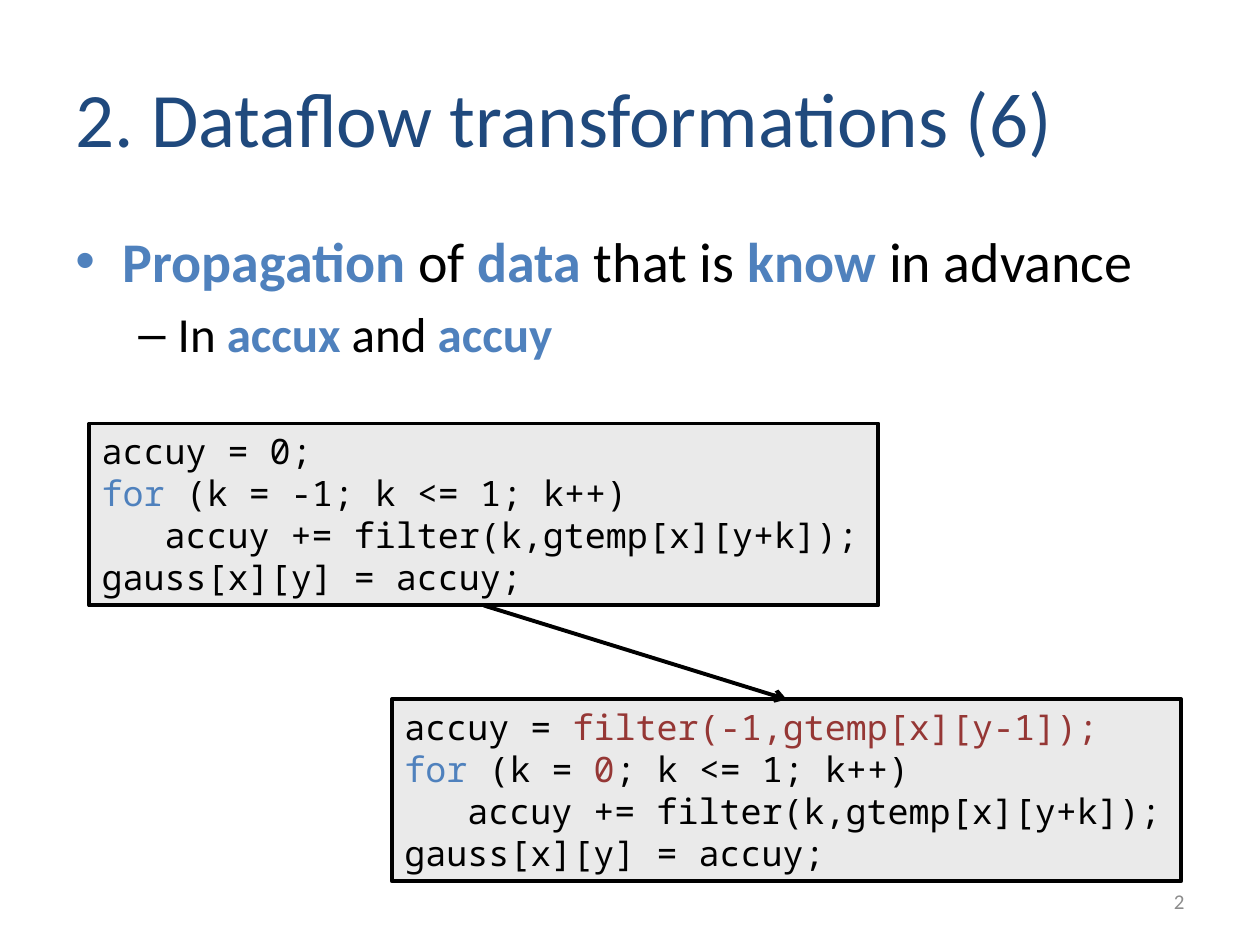
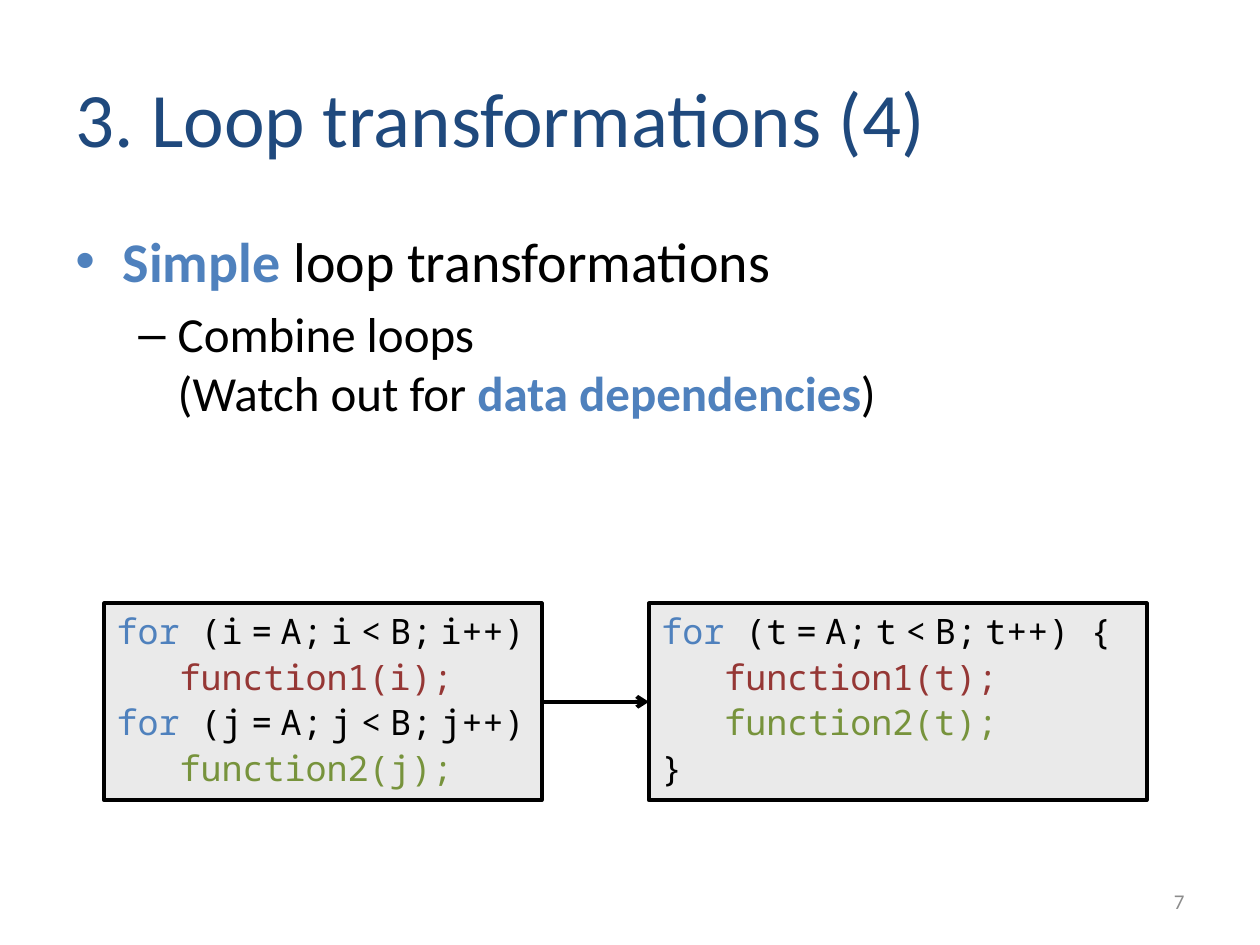
from lxml import etree
from pptx import Presentation
from pptx.dml.color import RGBColor
from pptx.enum import shapes, text
from pptx.oxml.ns import qn
from pptx.util import Pt

HUES = dict(navy="1F497D", blue="4F81BD", black="000000", red="953735",
            green="77933C", grey="8C8C8C", pale="EAEAEA")
SANS, MONO = "Calibri", "Noto Sans Mono"
TITLE = (36, 21.6, 648, 90)
BODY = (36, 126, 648, 356.4)
FOOT = (516, 500.4, 168, 28.8)
BOTTOM, TOP, LEFT, RIGHT = 2, 0, 1, 3
LEVELS = [dict(size=32, mark="•", tint="blue", left=27, hang=27, before=6.4),
          dict(size=28, mark="–", tint="black", left=58.5, hang=22.5, before=5.6)]
THIN = "~"


def hue(name):
    return RGBColor.from_string(HUES[name])


def add_run(para, words, size, font, tint, bold):
    run = para.add_run()
    run.text = words
    run.font.size = Pt(size)
    run.font.name = font
    run.font.bold = bold
    run.font.color.rgb = hue(tint)


def write(para, parts, size=20, font=SANS, tint="black", strong=False,
          align=text.PP_ALIGN.LEFT, before=0, left=0, hang=0, mark=None, mark_tint="black"):
    para.alignment = align
    para.space_before = Pt(before)
    props = para._p.get_or_add_pPr()
    props.set("marL", str(Pt(left)))
    props.set("indent", str(-Pt(hang)))
    if mark:
        shade = etree.SubElement(props, qn("a:buClr"))
        etree.SubElement(shade, qn("a:srgbClr"), val=HUES[mark_tint])
        etree.SubElement(props, qn("a:buFont"), typeface="Arial")
        etree.SubElement(props, qn("a:buChar"), char=mark)
    for part in parts:
        words, shade = (part, tint) if isinstance(part, str) else part
        bold = strong and shade != tint
        for row, line in enumerate(words.split("\n")):
            if row:
                para.add_line_break()
            for spot, word in enumerate(line.split(THIN)):
                if spot:
                    add_run(para, " ", 8, font, shade, bold)
                if word:
                    add_run(para, word, size, font, shade, bold)


def paras(frame, rows):
    for row, parts in enumerate(rows):
        yield (frame.add_paragraph() if row else frame.paragraphs[0]), parts


def text_box(slide, box, anchor):
    frame = slide.shapes.add_textbox(*map(Pt, box)).text_frame
    frame.word_wrap = True
    frame.vertical_anchor = anchor
    return frame


def base(deck, title, points, number):
    slide = deck.slides.add_slide(deck.slide_layouts[5])
    head = slide.shapes.title
    head.left, head.top, head.width, head.height = map(Pt, TITLE)
    head.text_frame.vertical_anchor = text.MSO_ANCHOR.MIDDLE
    write(head.text_frame.paragraphs[0], [title], size=44, tint="navy")
    frame = text_box(slide, BODY, text.MSO_ANCHOR.TOP)
    for level, (para, parts) in zip(LEVELS, paras(frame, points)):
        write(para, parts, size=level["size"], strong=True, before=level["before"],
              left=level["left"], hang=level["hang"], mark=level["mark"],
              mark_tint=level["tint"])
    foot = text_box(slide, FOOT, text.MSO_ANCHOR.MIDDLE)
    write(foot.paragraphs[0], [number], size=12, tint="grey", align=text.PP_ALIGN.RIGHT)
    return slide


def code(slide, box, rows, before=0):
    panel = slide.shapes.add_shape(shapes.MSO_SHAPE.RECTANGLE, *map(Pt, box))
    panel.shadow.inherit = False
    panel.fill.solid()
    panel.fill.fore_color.rgb = hue("pale")
    panel.line.color.rgb = hue("black")
    panel.line.width = Pt(2.25)
    frame = panel.text_frame
    frame.word_wrap = True
    frame.vertical_anchor = text.MSO_ANCHOR.TOP
    for para, (depth, *parts) in paras(frame, rows):
        write(para, parts, font=MONO, before=before, left=36 * depth)
    return panel


def arrow(slide, start, out, end, into):
    line = slide.shapes.add_connector(shapes.MSO_CONNECTOR.STRAIGHT, 0, 0, 0, 0)
    line.begin_connect(start, out)
    line.end_connect(end, into)
    line.line.color.rgb = hue("black")
    line.line.width = Pt(2.25)
    etree.SubElement(line.line._get_or_add_ln(), qn("a:tailEnd"), type="arrow")
    etree.SubElement(line._element.spPr, qn("a:effectLst"))


def loop(var, tail=""):
    return 0, ("for", "blue"), f" ({var}~=~A;~{var}~<~B;~{var}++){tail}"


def call(name, var, tint):
    return 1, (f"{name}({var});", tint)


def dataflow(deck):
    slide = base(deck, "2. Dataflow transformations (6)", [
        [("Propagation", "blue"), " of ", ("data", "blue"), " that is ",
         ("know", "blue"), " in advance"],
        ["In ", ("accux", "blue"), " and ", ("accuy", "blue")]], "2")
    shared = [(1, "accuy += filter(k,gtemp[x][y+k]);"), (0, "gauss[x][y] = accuy;")]
    first = code(slide, (51, 242, 451, 104), [
        (0, "accuy = 0;"), (0, ("for", "blue"), " (k = -1; k <= 1; k++)"), *shared])
    second = code(slide, (224, 399.6, 451, 104), [
        (0, "accuy = ", ("filter(-1,gtemp[x][y-1]);", "red")),
        (0, ("for", "blue"), " (k = ", ("0", "red"), "; k <= 1; k++)"), *shared])
    arrow(slide, first, BOTTOM, second, TOP)


def loops(deck):
    slide = base(deck, "3. Loop transformations (4)", [
        [("Simple", "blue"), " loop transformations"],
        ["Combine loops \n(Watch out for ", ("data dependencies", "blue"), ")"]], "7")
    apart = code(slide, (59.5, 344.8, 250, 112.5), [
        loop("i"), call("function1", "i", "red"),
        loop("j"), call("function2", "j", "green")], before=2)
    joined = code(slide, (370.8, 344.8, 284.4, 112.5), [
        loop("t", " {"), call("function1", "t", "red"),
        call("function2", "t", "green"), (0, "}")], before=2)
    arrow(slide, apart, RIGHT, joined, LEFT)


def main():
    deck = Presentation()
    deck.slide_width, deck.slide_height = Pt(720), Pt(540)
    dataflow(deck)
    loops(deck)
    deck.save("out.pptx")


if __name__ == "__main__":
    main()
